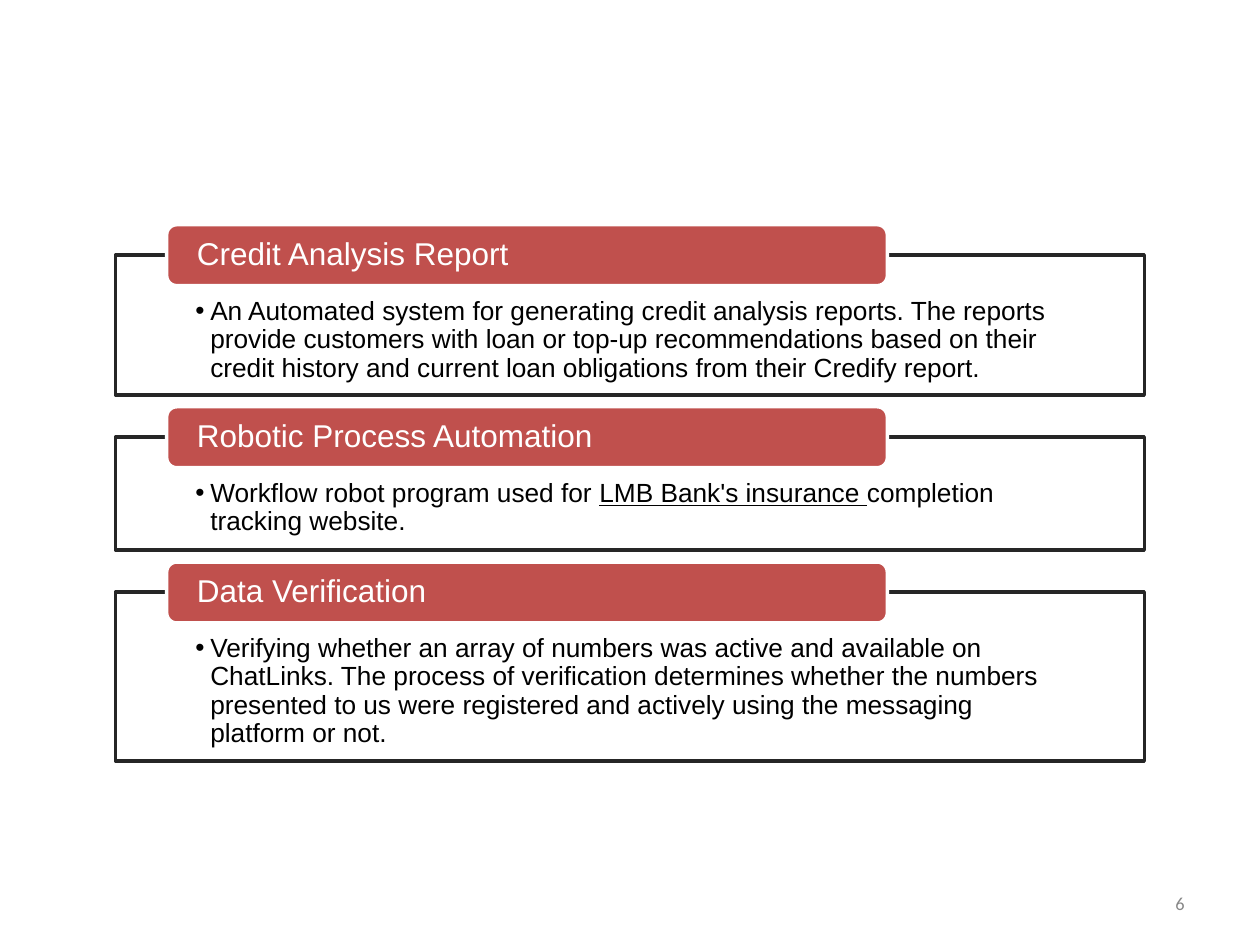
from lxml.etree import SubElement
from pptx import Presentation
from pptx.dml.color import RGBColor
from pptx.enum.shapes import MSO_SHAPE
from pptx.enum.text import MSO_ANCHOR, PP_ALIGN
from pptx.oxml.ns import qn
from pptx.util import Cm, Pt

WHITE = RGBColor(0xFF, 0xFF, 0xFF)
BLACK = RGBColor(0x00, 0x00, 0x00)
RED = RGBColor(0xC0, 0x50, 0x4D)
CHARCOAL = RGBColor(0x26, 0x26, 0x26)
GREY = RGBColor(0x88, 0x88, 0x88)

FIRST_PANEL_TOP = 5.14
PANEL_GAP = 0.85
HEADING_RISE = 0.61

SECTIONS = [
    ("Credit Analysis Report", 2.82, [
        ("An Automated system for generating credit analysis reports. The reports "
         "provide customers with loan or top-up recommendations based on their "
         "credit history and current loan obligations from their Credify report.", False),
    ]),
    ("Robotic Process Automation", 2.28, [
        ("Workflow robot program used for ", False),
        ("LMB Bank's insurance ", True),
        ("completion tracking website.", False),
    ]),
    ("Data Verification", 3.4, [
        ("Verifying whether an array of numbers was active and available on "
         "ChatLinks. The process of verification determines whether the numbers "
         "presented to us were registered and actively using the messaging "
         "platform or not.", False),
    ]),
]


def add_bullet(paragraph, indent):
    """Give the paragraph a round bullet with a hanging indent."""
    properties = paragraph._p.get_or_add_pPr()
    properties.set("marL", str(indent))
    properties.set("indent", str(-indent))
    SubElement(properties, qn("a:buFont"), typeface="Arial")
    SubElement(properties, qn("a:buChar"), char="•")


def write_text(shape, runs, *, size, color, font="Arial", align=PP_ALIGN.LEFT,
               anchor=MSO_ANCHOR.MIDDLE, margins=(0.25, 0.13, 0.25, 0.13),
               line_spacing=None, bullet=False):
    """Write (text, underlined) runs as the shape's single paragraph."""
    frame = shape.text_frame
    frame.word_wrap = True
    frame.vertical_anchor = anchor
    (frame.margin_left, frame.margin_top,
     frame.margin_right, frame.margin_bottom) = map(Cm, margins)
    paragraph = frame.paragraphs[0]
    paragraph.alignment = align
    if line_spacing:
        paragraph.line_spacing = line_spacing
    if bullet:
        add_bullet(paragraph, Cm(0.3))
    for text, underlined in runs:
        run = paragraph.add_run()
        run.text = text
        run.font.name = font
        run.font.size = Pt(size)
        run.font.color.rgb = color
        run.font.underline = underlined


def add_box(slide, kind, left, top, width, height, fill, line):
    """Add a filled and outlined preset shape, measured in centimetres."""
    shape = slide.shapes.add_shape(kind, Cm(left), Cm(top), Cm(width), Cm(height))
    shape.shadow.inherit = False
    shape.fill.solid()
    shape.fill.fore_color.rgb = fill
    shape.line.color.rgb = line
    shape.line.width = Pt(2)
    return shape


def add_section(slide, top, height, heading, runs):
    """Add a bordered panel with its heading bar across the top edge."""
    panel = add_box(slide, MSO_SHAPE.RECTANGLE, 2.33, top, 20.74, height, WHITE, CHARCOAL)
    write_text(panel, runs, size=15, color=BLACK, anchor=MSO_ANCHOR.TOP,
               margins=(1.61, 0.86, 1.61, 0.3), line_spacing=0.9, bullet=True)
    bar = add_box(slide, MSO_SHAPE.ROUNDED_RECTANGLE, 3.36, top - HEADING_RISE,
                  14.53, 1.23, RED, WHITE)
    write_text(bar, [(heading, False)], size=18, color=WHITE,
               margins=(0.55, 0, 0.55, 0), line_spacing=0.9)


def add_slide_number(slide, number):
    """Add the slide number at the bottom right."""
    box = slide.shapes.add_textbox(Cm(18.2), Cm(17.7), Cm(5.93), Cm(1.01))
    write_text(box, [(number, False)], size=10.5, color=GREY, font="Calibri",
               align=PP_ALIGN.RIGHT)


def main():
    """Build the slide and save the presentation."""
    presentation = Presentation()
    presentation.slide_width = Cm(25.4)
    presentation.slide_height = Cm(19.05)
    slide = presentation.slides.add_slide(presentation.slide_layouts[6])
    add_slide_number(slide, "6")
    top = FIRST_PANEL_TOP
    for heading, height, runs in SECTIONS:
        add_section(slide, top, height, heading, runs)
        top += height + PANEL_GAP
    presentation.save("out.pptx")


if __name__ == "__main__":
    main()
